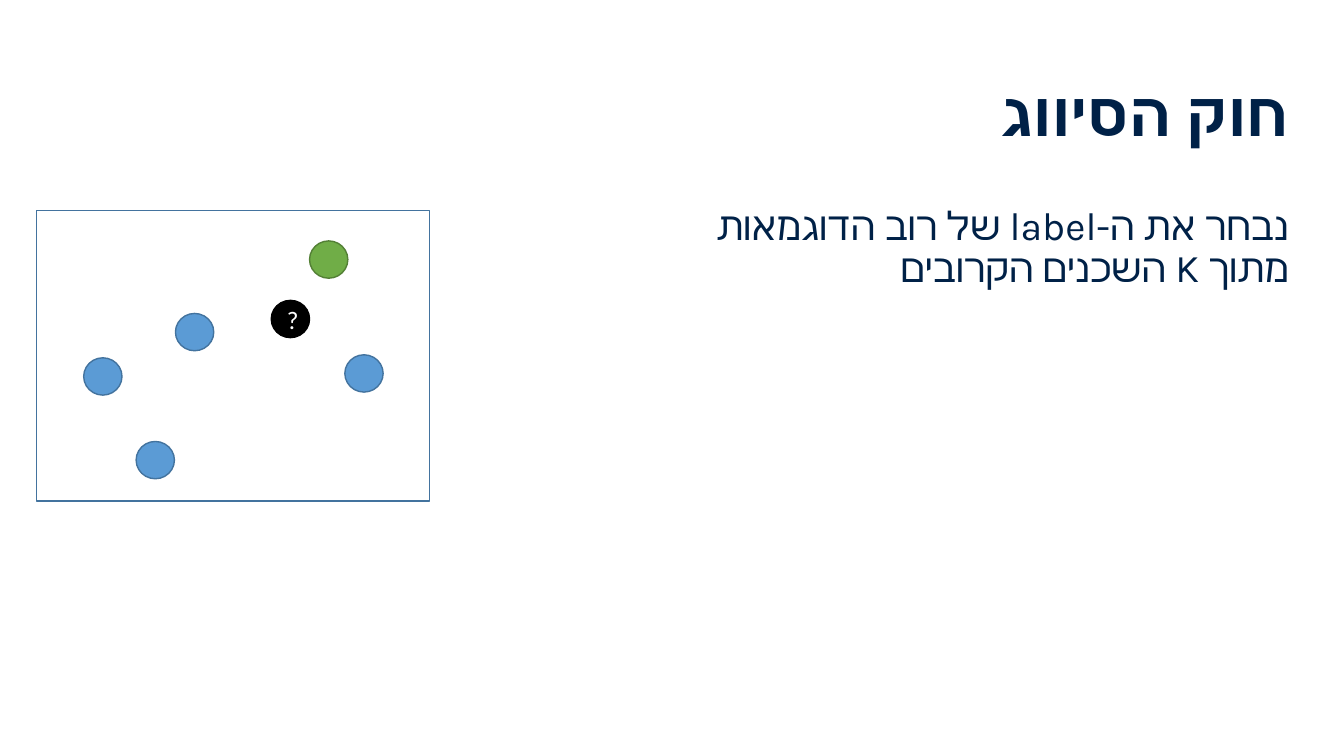
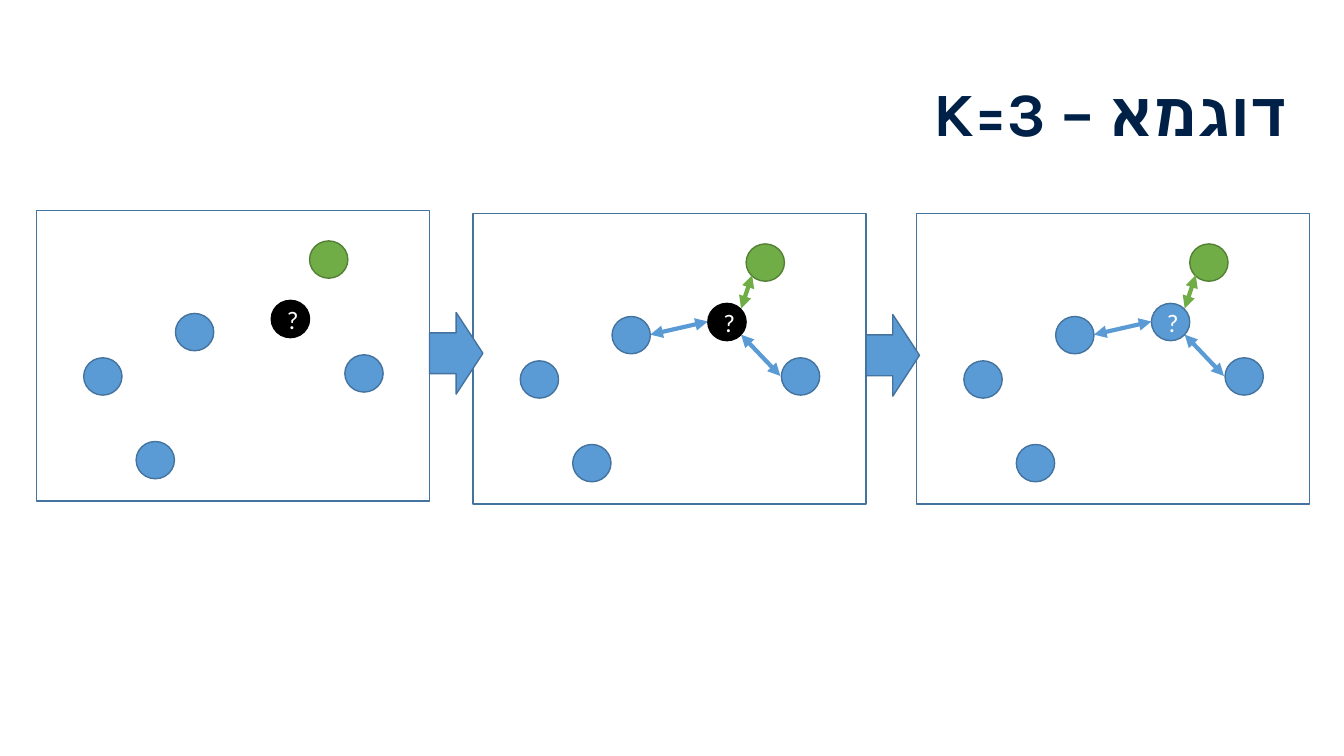
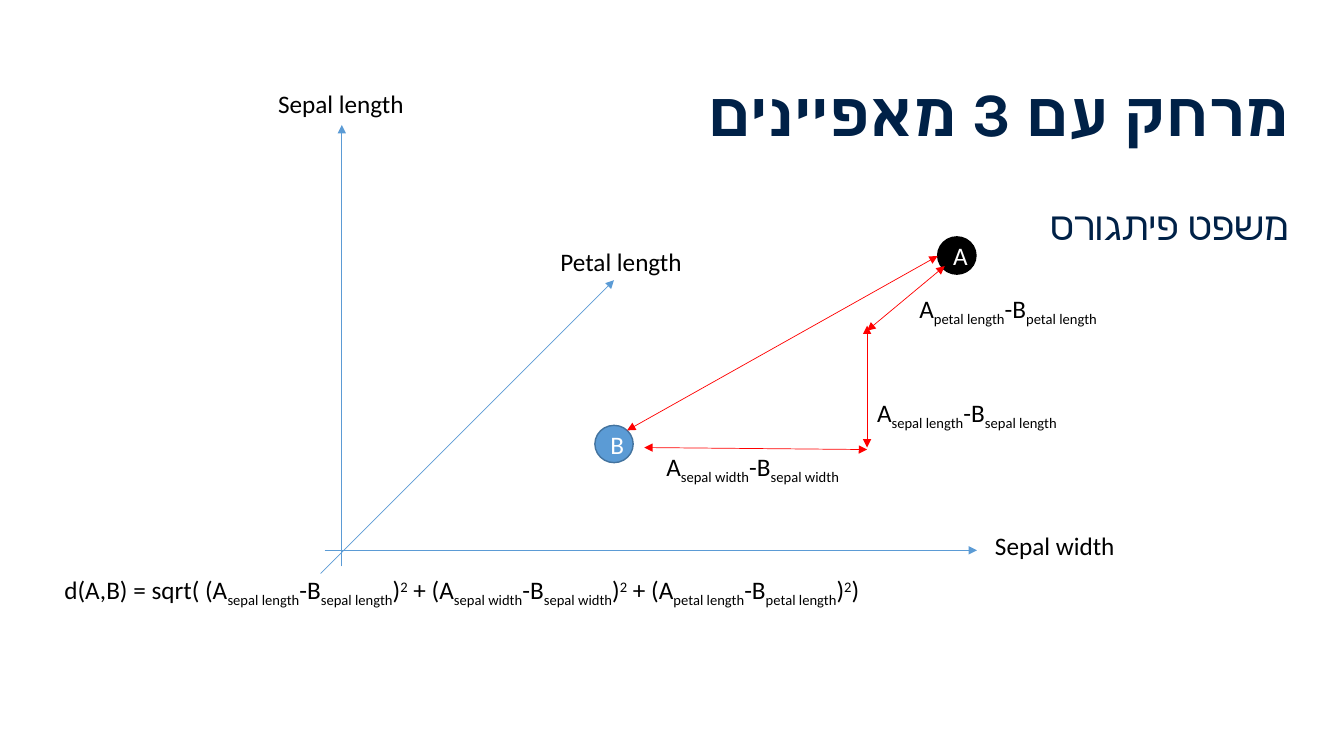
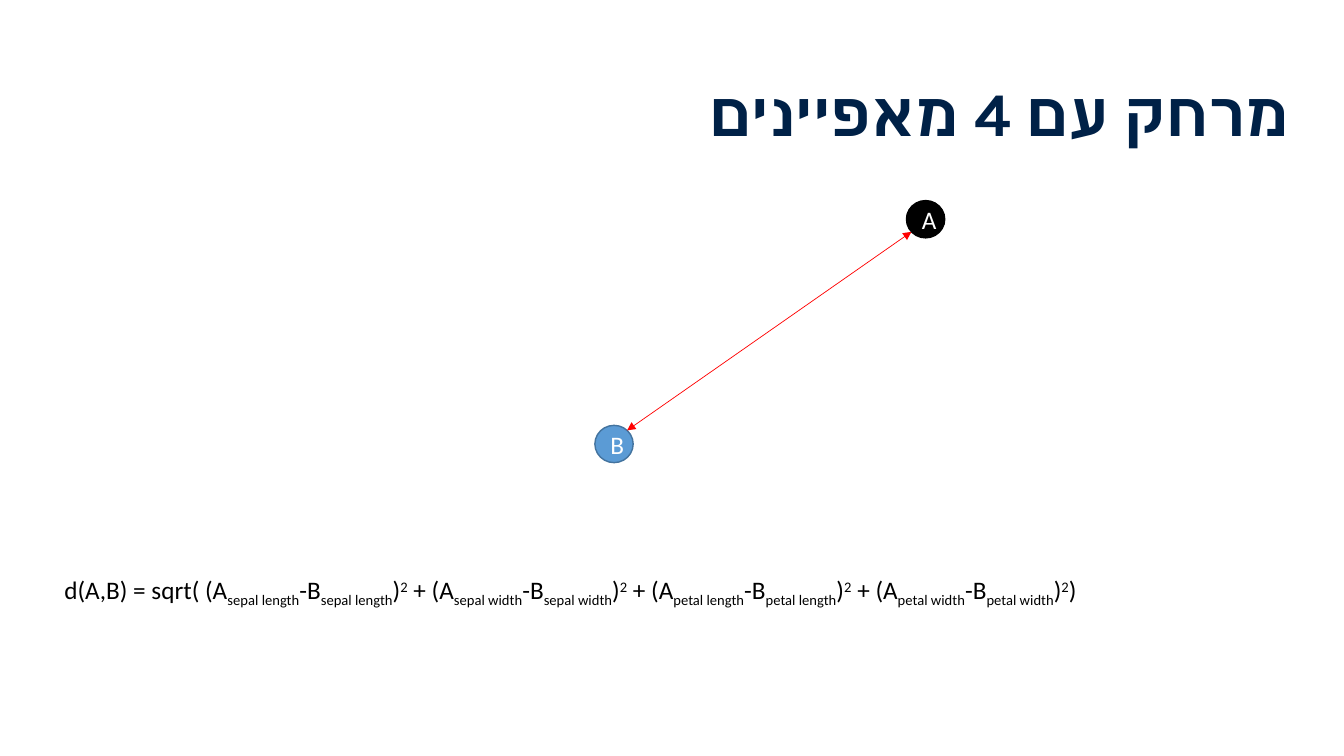
from lxml import etree
from pptx import Presentation
from pptx.dml.color import RGBColor
from pptx.enum import shapes as kinds, text as txt
from pptx.oxml import ns
from pptx.util import Inches, Pt

COLORS = {
    "navy": "002147", "black": "000000", "white": "FFFFFF", "red": "FF0000",
    "blue": "5B9BD5", "blue_edge": "43739E",
    "green": "70AD47", "green_edge": "538035",
}
HEADING_FONT, BODY_FONT = "Karla", "Calibri"
DOT_W, DOT_H = 0.38, 0.37
PANEL_W, PANEL_H = 3.9, 2.88

# Places inside a neighbours panel, measured from its corner
BLUE_DOTS = [(0.47, 1.46), (0.99, 2.29), (1.38, 1.02), (3.06, 1.43)]
GREEN_DOT = (2.71, 0.3)
QUERY_DOT = (2.33, 0.89)
NEIGHBOUR_LINKS = [
    ((2.66, 0.94), (2.77, 0.61), "green"),
    ((2.66, 1.2), (3.05, 1.61), "blue"),
    ((1.76, 1.2), (2.33, 1.07), "blue"),
]


def rgb(name):
    return RGBColor.from_string(COLORS[name])


def write(frame, runs, size=18, color="black", font=BODY_FONT, bold=False,
          align=None, rtl=False, spacing=None, anchor=None):
    """Write (text, baseline percent) runs, or one plain string."""
    if anchor is not None:
        frame.vertical_anchor = anchor
    paragraph = frame.paragraphs[0]
    paragraph.alignment = align
    if spacing:
        paragraph.line_spacing = spacing
    if rtl:
        paragraph._p.get_or_add_pPr().set("rtl", "1")
    for content, baseline in [(runs, 0)] if isinstance(runs, str) else runs:
        run = paragraph.add_run()
        run.text = content
        run.font.size = Pt(size)
        run.font.bold = bold
        run.font.name = font
        run.font.color.rgb = rgb(color)
        properties = run._r.get_or_add_rPr()
        if baseline:
            properties.set("baseline", str(baseline * 1000))
        if rtl:
            etree.SubElement(properties, ns.qn("a:cs"), typeface=font)


def text_box(slide, runs, left, top, width, height, wrap=True, grow=False, **style):
    frame = slide.shapes.add_textbox(
        Inches(left), Inches(top), Inches(width), Inches(height)).text_frame
    frame.word_wrap = wrap
    if grow:
        frame.auto_size = txt.MSO_AUTO_SIZE.SHAPE_TO_FIT_TEXT
    write(frame, runs, **style)


def hebrew(slide, words, left, top, width, height, **style):
    text_box(slide, words, left, top, width, height, color="navy", font=HEADING_FONT,
             align=txt.PP_ALIGN.RIGHT, rtl=True, spacing=0.9, **style)


def title(slide, words):
    hebrew(slide, words, 0.38, 0.4, 12.5, 1.51, size=44, bold=True,
           anchor=txt.MSO_ANCHOR.MIDDLE)


def body(slide, words, left=0.38):
    hebrew(slide, words, left, 2, 12.88 - left, 4.14, size=28)


def label(slide, runs, left, top, width, wrap=False):
    text_box(slide, runs, left, top, width, 0.4, wrap=wrap, grow=True)


def outline(holder, kind, left, top, width, height, fill=None, edge="blue_edge"):
    shape = holder.shapes.add_shape(
        kind, Inches(left), Inches(top), Inches(width), Inches(height))
    shape.shadow.inherit = False
    if fill:
        shape.fill.solid()
        shape.fill.fore_color.rgb = rgb(fill)
    else:
        shape.fill.background()
    shape.line.color.rgb = rgb(edge)
    shape.line.width = Pt(1)
    return shape


def dot(holder, left, top, color="blue", letter=None):
    edge = "black" if color == "black" else color + "_edge"
    circle = outline(holder, kinds.MSO_SHAPE.OVAL, left, top, DOT_W, DOT_H, color, edge)
    if letter:
        write(circle.text_frame, letter, color="white", align=txt.PP_ALIGN.CENTER,
              anchor=txt.MSO_ANCHOR.MIDDLE)


def arrow(holder, start, end, color, width=0.5, both=True):
    link = holder.shapes.add_connector(
        kinds.MSO_CONNECTOR.STRAIGHT, *(Inches(v) for v in (*start, *end)))
    link.line.color.rgb = rgb(color)
    link.line.width = Pt(width)
    line = link.line._get_or_add_ln()
    for tip in ("a:headEnd", "a:tailEnd") if both else ("a:tailEnd",):
        etree.SubElement(line, ns.qn(tip), type="triangle")
    etree.SubElement(link._element.spPr, ns.qn("a:effectLst"))


def panel(slide, left, top, query="black", linked=False):
    """A framed cloud of points with one unknown point."""
    def place(point):
        return left + point[0], top + point[1]

    cloud = slide.shapes.add_group_shape()
    for point in BLUE_DOTS:
        dot(cloud, *place(point))
    dot(cloud, *place(GREEN_DOT), "green")
    dot(cloud, *place(QUERY_DOT), query, "?")
    if linked:
        for start, end, color in NEIGHBOUR_LINKS:
            arrow(cloud, place(start), place(end), color, width=3)
    outline(cloud, kinds.MSO_SHAPE.RECTANGLE, left, top, PANEL_W, PANEL_H)


def difference(feature):
    return [("A", 0), (feature, -25), ("-B", 0), (feature, -25)]


def distance_formula(slide, features, width):
    runs = [("d(A,B) = sqrt( ", 0)]
    for index, feature in enumerate(features):
        runs += [(" + (" if index else "(", 0), *difference(feature), (")", 0), ("2", 30)]
    label(slide, runs + [(")", 0)], 0.54, 5.65, width)


def classification_rule(slide):
    body(slide, "נבחר את ה-label של רוב הדוגמאות מתוך K השכנים הקרובים", left=6.42)
    title(slide, "חוק הסיווג")
    panel(slide, 0.36, 2.09)


def three_neighbours(slide):
    title(slide, "דוגמא – K=3")
    panel(slide, 4.69, 2.12, linked=True)
    panel(slide, 9.09, 2.12, query="blue", linked=True)
    for left, top in [(4.26, 3.1), (8.59, 3.12)]:
        outline(slide, kinds.MSO_SHAPE.RIGHT_ARROW, left, top, 0.53, 0.81, "blue")
    panel(slide, 0.36, 2.09)


def three_features(slide):
    body(slide, "משפט פיתגורס")
    title(slide, "מרחק עם 3 מאפיינים")
    dot(slide, 5.9, 4.22, letter="B")
    dot(slide, 9.3, 2.35, "black", "A")
    # Axes and their names
    for start, end, name, left, top, width in [
        ((3.22, 5.46), (9.69, 5.46), "Sepal width", 9.77, 5.21, 1.4),
        ((3.39, 5.62), (3.39, 1.24), "Sepal length", 2.66, 0.83, 1.46),
        ((3.18, 5.69), (6.09, 2.78), "Petal length", 5.46, 2.39, 1.42),
    ]:
        arrow(slide, start, end, "blue", both=False)
        label(slide, name, left, top, width)
    # Distance and its part along each axis
    arrow(slide, (6.22, 4.27), (9.3, 2.54), "red")
    for start, end, feature, left, top, width in [
        ((6.39, 4.44), (8.6, 4.46), "sepal width", 6.51, 4.43, 2.21),
        ((8.6, 4.44), (8.6, 3.23), "sepal length", 8.6, 3.89, 2.35),
        ((8.6, 3.28), (9.37, 2.64), "petal length", 9.02, 2.86, 2.27),
    ]:
        arrow(slide, start, end, "red")
        label(slide, difference(feature), left, top, width, wrap=True)
    distance_formula(slide, ["sepal length", "sepal width", "petal length"], 8.99)


def four_features(slide):
    title(slide, "מרחק עם 4 מאפיינים")
    dot(slide, 5.9, 4.22, letter="B")
    dot(slide, 8.99, 1.99, "black", "A")
    arrow(slide, (6.22, 4.27), (9.04, 2.3), "red")
    distance_formula(
        slide, ["sepal length", "sepal width", "petal length", "petal width"], 11.2)


def main():
    deck = Presentation()
    deck.slide_width, deck.slide_height = Inches(13.33), Inches(7.5)
    for build in (classification_rule, three_neighbours, three_features, four_features):
        build(deck.slides.add_slide(deck.slide_layouts[6]))
    deck.save("out.pptx")


if __name__ == "__main__":
    main()
